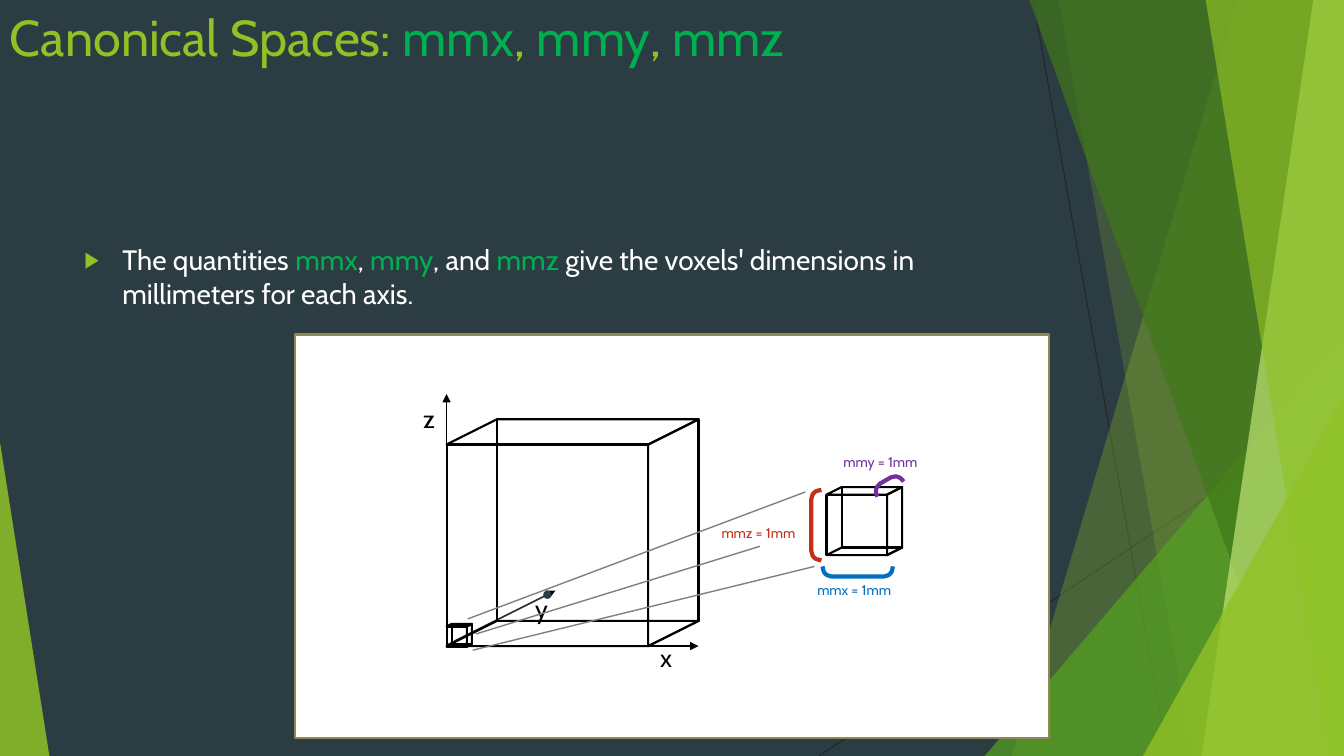
from lxml import etree
from pptx import Presentation
from pptx.dml.color import RGBColor
from pptx.enum import shapes, text
from pptx.oxml import ns
from pptx.util import Pt

FONT = "Cabin"
BLACK, WHITE, GREY = "000000", "FFFFFF", "808080"
LIME, GREEN = "90C226", "00B050"
RED, PURPLE, BLUE = "C42F1A", "7030A0", "0070C0"
MSO = shapes.MSO_SHAPE


def rgb(code):
    """Turn a hex string into a colour."""
    return RGBColor.from_string(code)


def sub(parent, tag, **attrs):
    """Append a drawing element with its attributes."""
    el = etree.SubElement(parent, ns.qn(tag))
    for name, value in attrs.items():
        el.set(name, str(value))
    return el


def paint(sp, fill=None, alpha=100, line=None, width=1.5):
    """Set fill, opacity and outline of a shape."""
    sp.shadow.inherit = False
    if fill:
        sp.fill.solid()
        sp.fill.fore_color.rgb = rgb(fill)
        if alpha < 100:
            clr = sp.element.spPr.find(".//" + ns.qn("a:srgbClr"))
            sub(clr, "a:alpha", val=alpha * 1000)
    else:
        sp.fill.background()
    if line:
        sp.line.color.rgb = rgb(line)
        sp.line.width = Pt(width)
    else:
        sp.line.fill.background()


def add_preset(slide, kind, x, y, w, h, adj=None, rot=0, flip=False, **look):
    """Add a preset shape."""
    sp = slide.shapes.add_shape(kind, Pt(x), Pt(y), Pt(w), Pt(h))
    if adj is not None:
        sp.adjustments[0] = adj
    sp.rotation = rot
    if flip:
        sp.element.spPr.xfrm.set("flipH", "1")
    paint(sp, **look)


def add_panel(slide, top, bottom, fill, alpha):
    """Add a full-height panel with a slanted left edge."""
    fb = slide.shapes.build_freeform(Pt(top), Pt(-0.6))
    corners = [(960, -0.6), (960, 540), (bottom, 540)]
    fb.add_line_segments([(Pt(x), Pt(y)) for x, y in corners])
    paint(fb.convert_to_shape(), fill, alpha)


def add_line(slide, start, end, color, width=1, tail=None):
    """Add a straight line, with an arrowhead if asked."""
    cn = slide.shapes.add_connector(
        shapes.MSO_CONNECTOR.STRAIGHT, *map(Pt, start + end))
    cn.line.color.rgb = rgb(color)
    cn.line.width = Pt(width)
    if tail:
        sub(cn.line._get_or_add_ln(), "a:tailEnd", type=tail)
    sub(cn.element.spPr, "a:effectLst")


def add_text(slide, runs, x, y, w, h, size, wrap=False, bullet=False):
    """Add a text box from (text, colour) runs."""
    tf = slide.shapes.add_textbox(Pt(x), Pt(y), Pt(w), Pt(h)).text_frame
    tf.word_wrap = wrap
    if not wrap:
        tf.auto_size = text.MSO_AUTO_SIZE.SHAPE_TO_FIT_TEXT
    p = tf.paragraphs[0]
    for words, color in runs:
        r = p.add_run()
        r.text = words
        r.font.name = FONT
        r.font.size = Pt(size)
        r.font.color.rgb = rgb(color)
    if bullet:
        p.space_before = Pt(10)
        pPr = p._p.get_or_add_pPr()
        pPr.set("marL", str(Pt(27)))
        pPr.set("indent", str(Pt(-27)))
        sub(sub(pPr, "a:buClr"), "a:srgbClr", val=LIME)
        sub(pPr, "a:buSzPct", val=80000)
        sub(pPr, "a:buFont", typeface="Arial")
        sub(pPr, "a:buChar", char="▶")


def add_cube(slide, x, y, side):
    """Add a wireframe cube whose front face starts at x, y."""
    dx, dy = side / 4, side / 8
    length = side + dy
    add_preset(slide, MSO.RECTANGLE, x, y, side, side, line=BLACK)
    for top in (y - dy, y + side - dy):
        add_preset(slide, MSO.PARALLELOGRAM, x, top, side + dx, dy,
                   adj=2, line=BLACK)
    add_preset(slide, MSO.PARALLELOGRAM, x + side + dx / 2 - length / 2,
               y - dy + length / 2 - dx / 2, length, dx,
               adj=0.5, rot=270, flip=True, line=BLACK)
    add_preset(slide, MSO.RECTANGLE, x + dx, y - dy, side, side, line=BLACK)


def add_backdrop(slide):
    """Add the green facets at the slide edges."""
    tri = MSO.ISOSCELES_TRIANGLE
    add_line(slide, (738, 0), (834, 540), "262626", 0.75)
    add_line(slide, (960, 290), (585, 540), "262626", 0.75)
    add_panel(slide, 884.2, 722.9, LIME, 30)
    add_panel(slide, 756, 851.8, LIME, 20)
    add_preset(slide, tri, 703.4, 239.8, 256.6, 300.2, adj=1,
               fill="54A021", alpha=72)
    add_panel(slide, 735.1, 929.5, "3F7819", 70)
    add_panel(slide, 938.2, 858.2, "C0E474", 70)
    add_panel(slide, 861.1, 949, LIME, 65)
    add_preset(slide, tri, 816.5, 283, 143.5, 257, adj=1, fill=LIME, alpha=80)
    add_preset(slide, tri, 0, 316, 35.3, 224, adj=0, fill=LIME, alpha=85)


def add_diagram(slide):
    """Add the volume, its axes and the enlarged voxel."""
    origin = (319, 461.5)
    add_preset(slide, MSO.RECTANGLE, 211, 239, 538.6, 288,
               fill=WHITE, line="918655")
    add_line(slide, (324.7, 457.9), (396.7, 421.9), BLACK, tail="triangle")
    add_line(slide, (319, 460.8), (391, 424.8), "2C3C43", tail="oval")
    for x, y, side in [(319, 317.5, 144), (319, 447.5, 14.4),
                       (590.4, 353.3, 43.2)]:
        add_cube(slide, x, y, side)
    for tip in [(319, 281.5), (499, 461.5)]:
        add_line(slide, origin, tip, BLACK, tail="triangle")
    for axis, x, y in [("y", 375.1, 420.5), ("x", 464.4, 455),
                       ("z", 295.2, 284.4)]:
        add_text(slide, [(axis, BLACK)], x, y, 23.8, 28.8, 18)
    for start, end in [((334.1, 442.1), (575.3, 351.4)),
                       ((337.7, 464.4), (581.8, 404.6)),
                       ((339.8, 452.9), (542.9, 390.2))]:
        add_line(slide, start, end, GREY)
    for label, color, x, y in [("mmz = 1mm", RED, 508.3, 370.8),
                               ("mmy = 1mm", PURPLE, 595.4, 320.4),
                               ("mmx = 1mm", BLUE, 576.7, 411.8)]:
        add_text(slide, [(label, color)], x, y, 69.1, 19.4, 10)
    for x, y, h, rot, color in [(630.7, 335.5, 21.6, 60, PURPLE),
                                (579.6, 349.9, 50.4, 0, RED),
                                (609.1, 383, 50.4, 270, BLUE)]:
        add_preset(slide, MSO.RIGHT_BRACKET, x, y, 7.2, h, adj=0.89,
                   rot=rot, flip=True, line=color, width=3)


def main():
    """Build and save the slide."""
    prs = Presentation()
    prs.slide_width, prs.slide_height = Pt(960), Pt(540)
    slide = prs.slides.add_slide(prs.slide_layouts[6])
    slide.background.fill.solid()
    slide.background.fill.fore_color.rgb = rgb("2C3C43")
    add_backdrop(slide)
    title = [("Canonical Spaces: ", LIME), ("mmx", GREEN), (", ", LIME),
             ("mmy", GREEN), (", ", LIME), ("mmz", GREEN)]
    add_text(slide, title, 0, 0.7, 676.8, 103.7, 36, wrap=True)
    body = [("The quantities ", WHITE), ("mmx", GREEN), (", ", WHITE),
            ("mmy", GREEN), (", and ", WHITE), ("mmz ", GREEN),
            ("give the voxels' dimensions in millimeters for each axis.",
             WHITE)]
    add_text(slide, body, 53.3, 169.9, 676.8, 305.3, 20,
             wrap=True, bullet=True)
    add_diagram(slide)
    prs.save("out.pptx")


if __name__ == "__main__":
    main()
